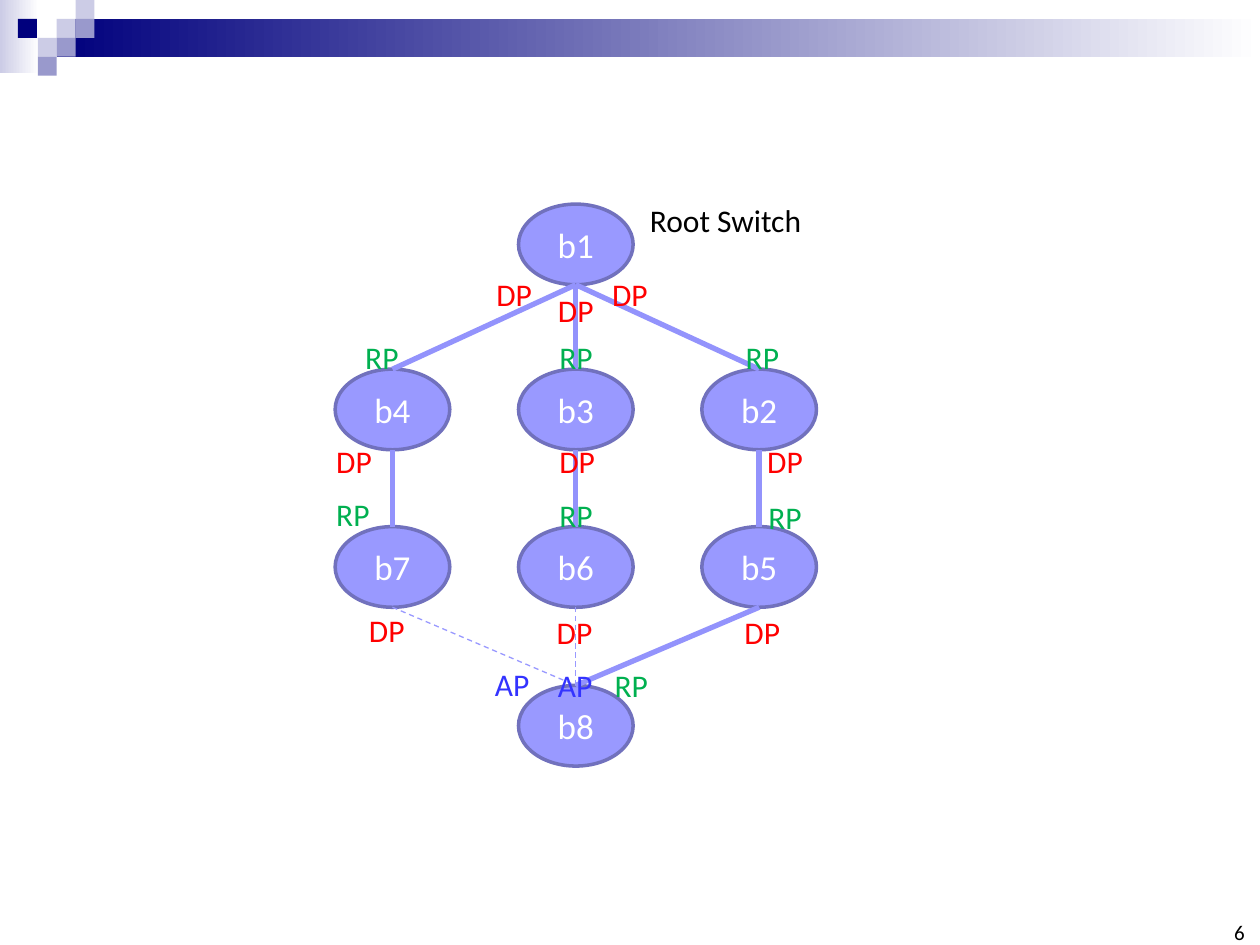
import pptx
import pptx.dml.color
import pptx.enum.dml
import pptx.enum.shapes
import pptx.enum.text
import pptx.oxml.ns
import pptx.util
from lxml import etree
from pptx.util import Inches

COLORS = {
    "navy": "00007D", "lavender": "CCCCE6", "slate": "9999CC", "white": "FFFFFF",
    "black": "000000", "node": "9999FF", "node_line": "7171BD", "link": "9393FC",
    "DP": "FF0000", "RP": "00B050", "AP": "3333FF",
}
FONT = "Calibri"
NODE_WIDTH, NODE_HEIGHT = 0.91, 0.64
COLUMN_STEP = 1.455
ROW_TOPS = [0, 1.31, 2.56, 3.82]
# Switch name: (column, row)
NODES = {
    "b1": (1, 0), "b4": (0, 1), "b3": (1, 1), "b2": (2, 1),
    "b7": (0, 2), "b6": (1, 2), "b5": (2, 2), "b8": (1, 3),
}
ACTIVE_LINKS = [("b1", "b4"), ("b1", "b3"), ("b1", "b2"), ("b4", "b7"),
                ("b3", "b6"), ("b2", "b5"), ("b5", "b8")]
BLOCKED_LINKS = [("b7", "b8"), ("b6", "b8")]
# Port role, left and top within the diagram
PORTS = [
    ("DP", 1.18, 0.51), ("DP", 1.67, 0.64), ("DP", 2.1, 0.51),
    ("RP", 0.14, 1.01), ("RP", 1.68, 1.01), ("RP", 3.16, 1.01),
    ("DP", -0.09, 1.84), ("DP", 1.68, 1.84), ("DP", 3.33, 1.84),
    ("RP", -0.09, 2.26), ("RP", 1.68, 2.27), ("RP", 3.34, 2.28),
    ("DP", 0.17, 3.18), ("DP", 1.66, 3.2), ("DP", 3.15, 3.2),
    ("AP", 1.17, 3.61), ("AP", 1.67, 3.62), ("RP", 2.12, 3.62),
]


def rgb(name):
    return pptx.dml.color.RGBColor.from_string(COLORS[name])


def write_text(shape, text, size=18, color="black", align="LEFT", anchor="TOP",
               wrap=False, inset=None):
    frame = shape.text_frame
    frame.word_wrap = wrap
    frame.vertical_anchor = pptx.enum.text.MSO_ANCHOR[anchor]
    if inset is not None:
        frame.margin_left = frame.margin_right = Inches(inset)
        frame.margin_top = frame.margin_bottom = Inches(inset)
    paragraph = frame.paragraphs[0]
    paragraph.alignment = pptx.enum.text.PP_ALIGN[align]
    run = paragraph.add_run()
    run.text = text
    run.font.name = FONT
    run.font.size = pptx.util.Pt(size)
    run.font.color.rgb = rgb(color)


def add_label(slide, left, top, width, height, text, **text_format):
    box = slide.shapes.add_textbox(Inches(left), Inches(top), Inches(width), Inches(height))
    write_text(box, text, **text_format)


def add_filled(slide, kind, left, top, width, height, color, fade=False):
    """Add a preset shape without outline; fade runs its colour to white."""
    shape = slide.shapes.add_shape(
        pptx.enum.shapes.MSO_SHAPE[kind],
        Inches(left), Inches(top), Inches(width), Inches(height))
    shape.shadow.inherit = False
    shape.line.fill.background()
    if fade:
        shape.fill.gradient()
        shape.fill.gradient_angle = 0
        for stop, name in zip(shape.fill.gradient_stops, (color, "white")):
            stop.color.rgb = rgb(name)
    else:
        shape.fill.solid()
        shape.fill.fore_color.rgb = rgb(color)
    return shape


def add_link(slide, upper, lower, blocked=False):
    """Join the bottom of one switch to the top of another."""
    connector = slide.shapes.add_connector(
        pptx.enum.shapes.MSO_CONNECTOR.STRAIGHT, 0, 0, 0, 0)
    connector.begin_connect(upper, 2)
    connector.end_connect(lower, 0)
    # An ellipse has eight connection sites, and its bottom is number 4.
    connector._element.xpath(".//a:stCxn")[0].set("idx", "4")
    connector.line.color.rgb = rgb("node" if blocked else "link")
    connector.line.width = pptx.util.Pt(0.75 if blocked else 3)
    if blocked:
        connector.line.dash_style = pptx.enum.dml.MSO_LINE.DASH
    etree.SubElement(connector._element.spPr, pptx.oxml.ns.qn("a:effectLst"))


def add_header(slide, left, top, width):
    cell = 0.15
    add_filled(slide, "RECTANGLE", left, top, 0.31, 0.58, "lavender", fade=True)
    add_filled(slide, "RECTANGLE", left + 3 * cell, top + cell,
               width - 3 * cell, 2 * cell, "navy", fade=True)
    squares = [(3, 1, "lavender"), (4, 0, "lavender"), (4, 1, "slate"), (2, 2, "lavender"),
               (0.95, 1, "navy"), (3, 2, "slate"), (2, 3, "slate")]
    for column, row, color in squares:
        add_filled(slide, "RECTANGLE", left + column * cell, top + row * cell,
                   cell, cell, color)


def add_switch_tree(slide, left, top):
    switches = {}
    for name, (column, row) in NODES.items():
        switch = add_filled(slide, "OVAL", left + column * COLUMN_STEP, top + ROW_TOPS[row],
                            NODE_WIDTH, NODE_HEIGHT, "node")
        switch.line.color.rgb = rgb("node_line")
        switch.line.width = pptx.util.Pt(2)
        write_text(switch, name, size=20, color="white", align="CENTER",
                   anchor="MIDDLE", wrap=True)
        switches[name] = switch
    for upper, lower in ACTIVE_LINKS + BLOCKED_LINKS:
        add_link(slide, switches[upper], switches[lower],
                 blocked=(upper, lower) in BLOCKED_LINKS)
    add_label(slide, left + 2.4, top - 0.07, 1.42, 0.4, "Root Switch")
    for role, x, y in PORTS:
        add_label(slide, left + x, top + y, 0.48, 0.4, role, color=role)


def main():
    presentation = pptx.Presentation()
    presentation.slide_width = Inches(10)
    presentation.slide_height = Inches(7.5)
    slide = presentation.slides.add_slide(presentation.slide_layouts[6])
    add_header(slide, 0, 0, 10)
    add_label(slide, 9.65, 7.33, 0.23, 0.17, "6", size=12, align="RIGHT",
              anchor="BOTTOM", wrap=True, inset=0)
    add_switch_tree(slide, 2.66, 1.62)
    presentation.save("out.pptx")


if __name__ == "__main__":
    main()
